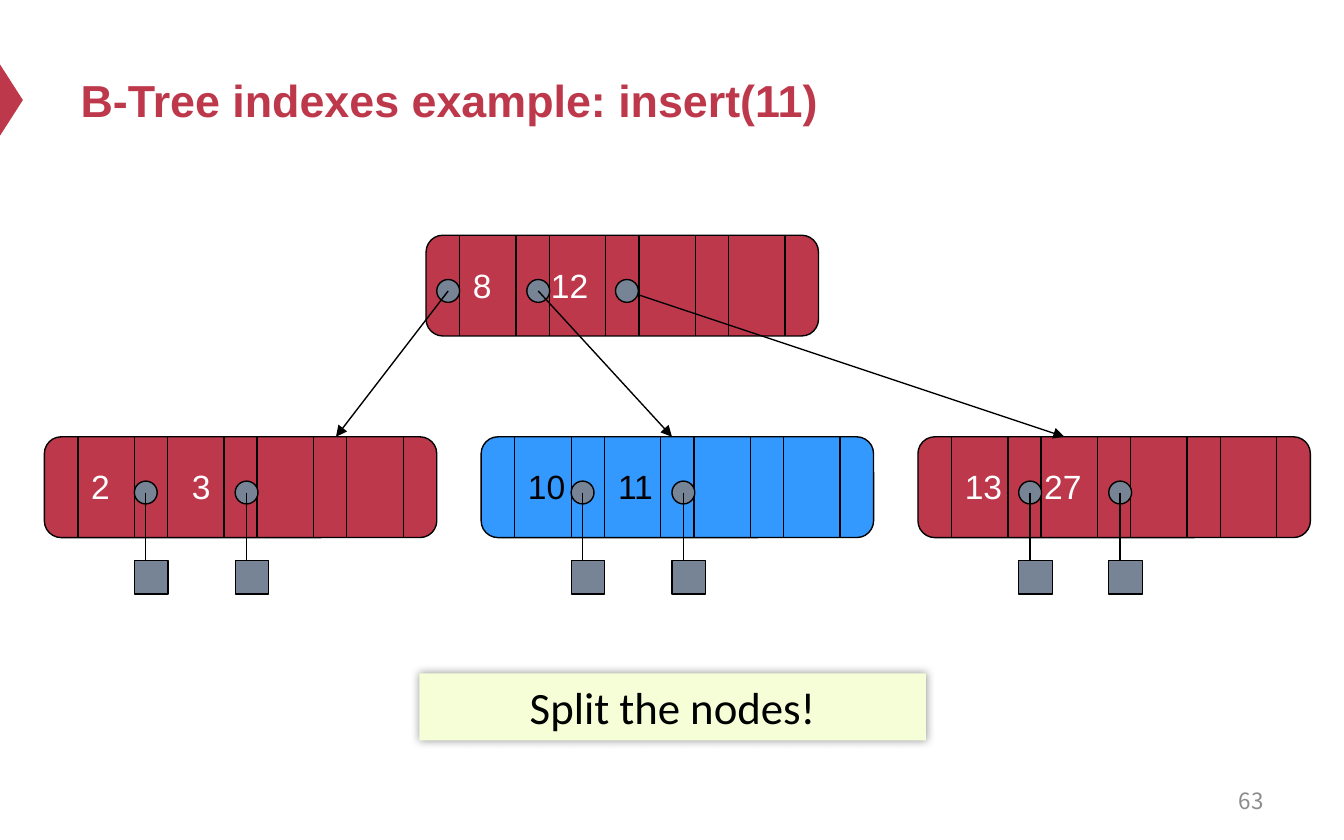
from pptx import Presentation
from pptx.dml.color import RGBColor
from pptx.enum.shapes import MSO_CONNECTOR as CONN, MSO_SHAPE as SHAPE
from pptx.enum.text import MSO_ANCHOR as ANCHOR, PP_ALIGN as ALIGN
from pptx.oxml import parse_xml
from pptx.oxml.ns import nsdecls, qn
from pptx.util import Inches, Pt

RED = RGBColor(0xBE, 0x38, 0x4B)
BLUE = RGBColor(0x33, 0x99, 0xFF)
SLATE = RGBColor(0x77, 0x84, 0x95)
CREAM = RGBColor(0xF5, 0xFE, 0xD6)
GRAY = RGBColor(0x8C, 0x8C, 0x8C)
BLACK = RGBColor(0, 0, 0)
WHITE = RGBColor(255, 255, 255)

# Content: keys are (text, offset in node), pointers are offsets in node
TITLE = "B-Tree indexes example: insert(11)"
ROOT = dict(left=3.17, top=1.75, fill=RED, color=WHITE, keys=[("8", 0.25), ("12", 0.83)])
ROOT_POINTERS = [(0.08, 2.5), (0.75, 5), (1.41, 7.92)]  # with the x of the child
LEAVES = [
    dict(left=0.33, fill=RED, color=WHITE, keys=[("2", 0.25), ("3", 1)], pointers=[0.67, 1.42]),
    dict(left=3.58, fill=BLUE, color=BLACK, keys=[("10", 0.25), ("11", 0.92)], pointers=[0.67, 1.42]),
    dict(left=6.83, fill=RED, color=WHITE, keys=[("13", 0.25), ("27", 0.84)], pointers=[0.75, 1.42]),
]
LEAF_TOP = 3.25
NODE_W, NODE_H = 2.92, 0.75
SLOTS, SLOT_PITCH = 4, 2 / 3
POINTER_W, KEY_W = 0.25, 0.42
DOT, DOT_DROP = 0.17, 0.33
RECORD, RECORD_DROP = 0.25, 0.92

prs = Presentation()
prs.slide_width, prs.slide_height = Inches(10), Inches(6.25)
s = prs.slides.add_slide(prs.slide_layouts[5])


def inches(*values):
    return [Inches(v) for v in values]


def write(sp, text, font="Arial", size=18, color=BLACK, bold=False,
          align=ALIGN.LEFT, anchor=ANCHOR.TOP, wrap=True):
    tf = sp.text_frame
    tf.word_wrap = wrap
    tf.vertical_anchor = anchor
    p = tf.paragraphs[0]
    p.alignment = align
    r = p.add_run()
    r.text = text
    r.font.name, r.font.size, r.font.bold = font, Pt(size), bold
    r.font.color.rgb = color


def add_shape(kind, left, top, width, height, fill, outlined=True):
    sp = s.shapes.add_shape(kind, *inches(left, top, width, height))
    sp.shadow.inherit = False
    sp.fill.solid()
    sp.fill.fore_color.rgb = fill
    if outlined:
        sp.line.color.rgb = BLACK
        sp.line.width = Pt(0.75)
    else:
        sp.line.fill.background()
    return sp


def add_line(x1, y1, x2, y2, arrow=False):
    line = s.shapes.add_connector(CONN.STRAIGHT, *inches(x1, y1, x2, y2))
    line.line.color.rgb = BLACK
    line.line.width = Pt(0.75)
    if arrow:
        line.line._get_or_add_ln().append(
            parse_xml(f'<a:tailEnd {nsdecls("a")} type="triangle"/>'))
    line._element.spPr.append(parse_xml(f'<a:effectLst {nsdecls("a")}/>'))


def add_dot(left, top):
    add_shape(SHAPE.OVAL, left, top, DOT, DOT, SLATE)


def add_node(left, top, fill, color, keys):
    add_shape(SHAPE.ROUNDED_RECTANGLE, left, top, NODE_W, NODE_H, fill).adjustments[0] = 0.167
    for i in range(SLOTS):
        for offset in (POINTER_W, POINTER_W + KEY_W):
            x = left + i * SLOT_PITCH + offset
            add_line(x, top, x, top + NODE_H)
    for text, offset in keys:
        box = s.shapes.add_textbox(*inches(left + offset, top + 0.17, 0.2 + 0.14 * len(text), 0.4))
        write(box, text, color=color, wrap=False)


# Title and its marker
marker = add_shape(SHAPE.ISOSCELES_TRIANGLE, -0.18, 0.66, 0.53, 0.17, RED, outlined=False)
marker.rotation = 90
title = s.shapes.title
title.left, title.top, title.width, title.height = inches(0.5, 0.25, 9, 0.98)
write(title, TITLE, size=24, color=RED, bold=True, anchor=ANCHOR.MIDDLE)

# Nodes
add_node(**ROOT)
for leaf in LEAVES:
    add_node(leaf["left"], LEAF_TOP, leaf["fill"], leaf["color"], leaf["keys"])

# Leaf pointers to records
for leaf in LEAVES:
    for offset in leaf["pointers"]:
        x, y = leaf["left"] + offset, LEAF_TOP + DOT_DROP
        add_dot(x, y)
        add_line(x + DOT / 2, y + DOT / 2, x + DOT / 2, LEAF_TOP + 1.08, arrow=True)
        add_shape(SHAPE.RECTANGLE, x, LEAF_TOP + RECORD_DROP, RECORD, RECORD, SLATE)

# Root pointers to leaves; the last dot covers the start of its arrow
for i, (offset, child_x) in enumerate(ROOT_POINTERS):
    x, y = ROOT["left"] + offset, ROOT["top"] + DOT_DROP
    last = i == len(ROOT_POINTERS) - 1
    if not last:
        add_dot(x, y)
    add_line(x + DOT / 2, y + DOT / 2, child_x, LEAF_TOP, arrow=True)
    if last:
        add_dot(x, y)

# Banner with a soft shadow
banner = add_shape(SHAPE.RECTANGLE, 3.12, 5.01, 3.77, 0.5, CREAM, outlined=False)
write(banner, "Split the nodes!", font="Calibri", size=24, align=ALIGN.CENTER)
banner._element.spPr.find(qn("a:effectLst")).append(parse_xml(
    f'<a:outerShdw {nsdecls("a")} blurRad="{Pt(5)}" dist="0" dir="0">'
    '<a:srgbClr val="000000"><a:alpha val="40000"/></a:srgbClr></a:outerShdw>'))

# Slide number
number = s.shapes.add_textbox(*inches(7.17, 5.79, 2.33, 0.33))
write(number, "63", font="Noto Sans CJK SC", size=12, color=GRAY,
      align=ALIGN.RIGHT, anchor=ANCHOR.MIDDLE)

prs.save("out.pptx")
